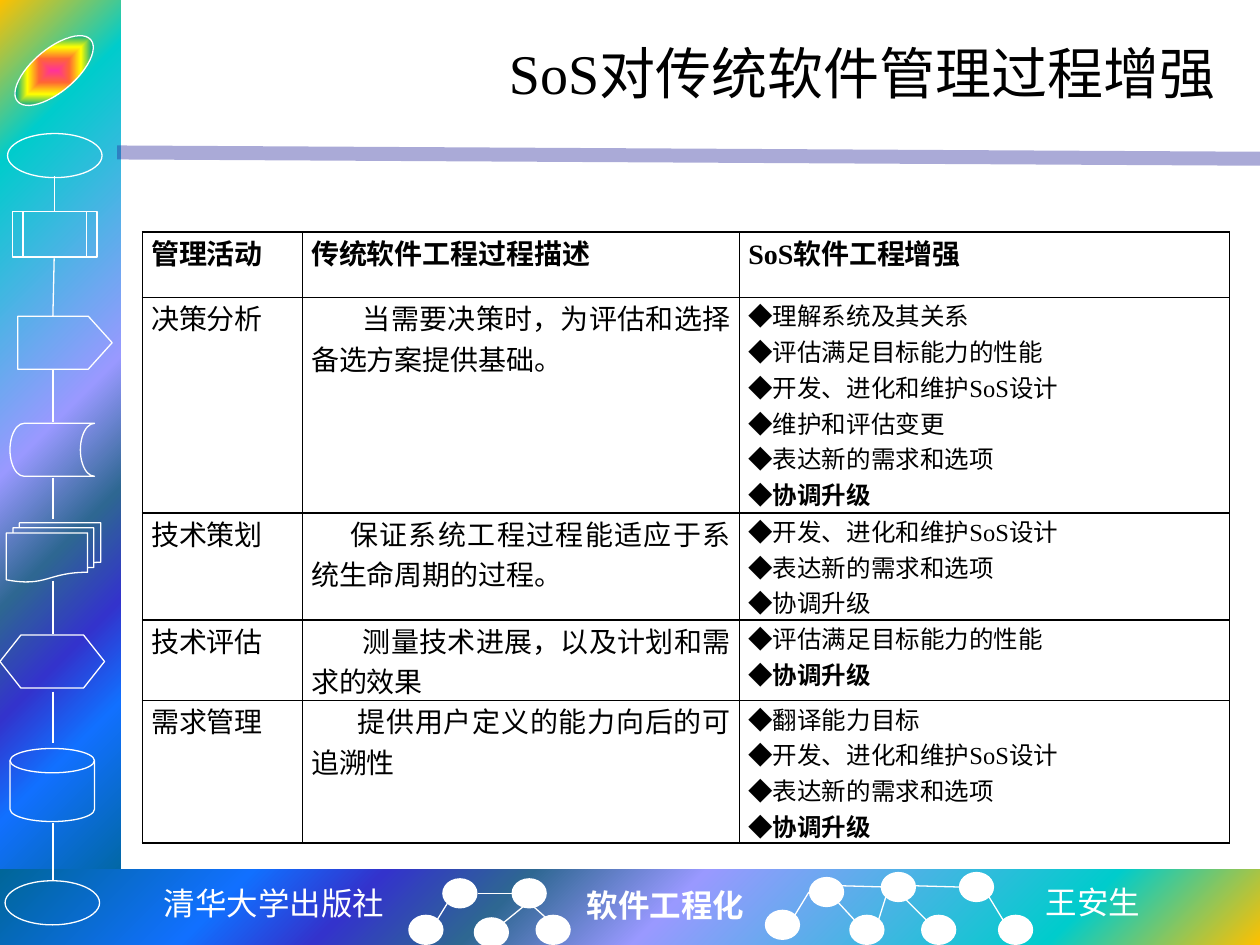
from lxml.etree import SubElement
from pptx import Presentation
from pptx.dml.color import RGBColor
from pptx.enum.shapes import MSO_CONNECTOR, MSO_SHAPE
from pptx.enum.text import MSO_ANCHOR, PP_ALIGN
from pptx.oxml import parse_xml
from pptx.oxml.ns import nsdecls, qn
from pptx.util import Inches, Pt

COLORS = {"white": "FFFFFF", "black": "000000", "rule": "262699"}
BAND_STOPS = [(0, "FFC000"), (16, "00CCCC"), (47, "9999FF"), (60, "2E6792"),
              (71, "3333CC"), (81, "1170FF"), (100, "006699")]
EMBLEM_STOPS = [(0, "FF3399"), (25, "FF6633"), (50, "FFFF00"),
                (75, "01A78F"), (100, "3366FF")]
SERIF = "Times New Roman"

FLOW_SHAPES = [
    (MSO_SHAPE.OVAL, 0.06, 1.06, 0.75, 0.35),
    (MSO_SHAPE.FLOWCHART_PREDEFINED_PROCESS, 0.1, 1.68, 0.67, 0.36),
    (MSO_SHAPE.PENTAGON, 0.14, 2.51, 0.75, 0.42),
    (MSO_SHAPE.FLOWCHART_STORED_DATA, 0.08, 3.36, 0.67, 0.42),
    (MSO_SHAPE.FLOWCHART_MULTIDOCUMENT, 0.05, 4.15, 0.75, 0.47),
    (MSO_SHAPE.FLOWCHART_PREPARATION, 0, 5.04, 0.83, 0.42),
    (MSO_SHAPE.FLOWCHART_MAGNETIC_DISK, 0.08, 5.94, 0.67, 0.58),
    (MSO_SHAPE.OVAL, 0.04, 6.99, 0.75, 0.35),
]
FLOW_LINES = [
    (0.43, 1.4, 0.43, 1.68), (0.43, 2.05, 0.42, 2.51), (0.42, 2.93, 0.42, 3.35),
    (0.42, 3.79, 0.42, 4.12), (0.42, 4.61, 0.42, 5.03), (0.42, 5.49, 0.42, 5.9),
    (0.42, 6.53, 0.42, 6.99),
]
NODES = [
    (3.51, 6.97), (4.06, 6.97), (3.24, 7.26), (3.76, 7.28), (4.25, 7.26),
    (6.42, 6.96), (6.99, 6.92), (7.61, 6.92), (6.07, 7.22), (6.74, 7.26),
    (7.31, 7.26), (7.92, 7.26),
]
NODE_LINES = [
    (3.47, 7.3, 3.55, 7.17), (4, 7.32, 4.16, 7.19), (4.06, 7.09, 3.79, 7.09),
    (4.34, 7.29, 4.24, 7.2), (6.78, 7.3, 6.65, 7.16), (7.35, 7.3, 7.15, 7.1),
    (7.96, 7.3, 7.85, 7.12), (6.97, 7.31, 7.03, 7.12), (7.26, 7.03, 7.61, 7.04),
    (6.31, 7.26, 6.42, 7.08), (6.68, 7.03, 7.03, 7.04),
]

COLUMN_WIDTHS = [1.27, 3.47, 3.89]
ROW_HEIGHTS = [0.52, 1.71, 0.85, 0.64, 1.13]
HEADINGS = ["管理活动", "传统软件工程过程描述", "SoS软件工程增强"]
DESIGN, NEEDS = "开发、进化和维护SoS设计", "表达新的需求和选项"
ABILITY, UPGRADE = "评估满足目标能力的性能", "协调升级"
# activity, first-line indent, description, enhancements, last one bold
ACTIVITIES = [
    ("决策分析", 0.41, "当需要决策时，为评估和选择备选方案提供基础。",
     ["理解系统及其关系", ABILITY, DESIGN, "维护和评估变更", NEEDS, UPGRADE], True),
    ("技术策划", 0.31, "保证系统工程过程能适应于系统生命周期的过程。",
     [DESIGN, NEEDS, UPGRADE], False),
    ("技术评估", 0.41, "测量技术进展，以及计划和需求的效果", [ABILITY, UPGRADE], True),
    ("需求管理", 0.37, "提供用户定义的能力向后的可追溯性",
     ["翻译能力目标", DESIGN, NEEDS, UPGRADE], True),
]


def color(name):
    return RGBColor.from_string(COLORS[name])


def add_shape(page, kind, left, top, width, height, fill=None, outline=True):
    shape = page.shapes.add_shape(kind, Inches(left), Inches(top), Inches(width), Inches(height))
    shape.shadow.inherit = False
    if fill:
        shape.fill.solid()
        shape.fill.fore_color.rgb = color(fill)
    else:
        shape.fill.background()
    if outline:
        shape.line.color.rgb = color("white")
        shape.line.width = Pt(0.75)
    else:
        shape.line.fill.background()
    return shape


def set_path_gradient(shape, stops, kind, focus):
    """Replace the empty fill by a gradient spreading from the focus (l, t, r, b in percent)."""
    stop_xml = "".join(f'<a:gs pos="{position * 1000}"><a:srgbClr val="{value}"/></a:gs>'
                       for position, value in stops)
    sides = " ".join(f'{side}="{share * 1000}"' for side, share in zip("ltrb", focus))
    gradient = parse_xml(
        f'<a:gradFill {nsdecls("a")} rotWithShape="1"><a:gsLst>{stop_xml}</a:gsLst>'
        f'<a:path path="{kind}"><a:fillToRect {sides}/></a:path></a:gradFill>')
    properties = shape._element.spPr
    properties.replace(properties.find(qn("a:noFill")), gradient)


def add_line(page, start_x, start_y, end_x, end_y, name="white", width=0.75, opacity=100):
    line = page.shapes.add_connector(MSO_CONNECTOR.STRAIGHT, Inches(start_x), Inches(start_y),
                                     Inches(end_x), Inches(end_y))
    line.line.color.rgb = color(name)
    line.line.width = Pt(width)
    properties = line._element.spPr
    if opacity < 100:
        tone = next(properties.iter(qn("a:srgbClr")))
        SubElement(tone, qn("a:alpha"), val=str(opacity * 1000))
    SubElement(properties, qn("a:effectLst"))


def write(para, text, size, name="black", font=SERIF, bold=False, align=PP_ALIGN.LEFT):
    para.add_run().text = text
    para.alignment = align
    para.font.size = Pt(size)
    para.font.name = font
    para.font.bold = bold
    para.font.color.rgb = color(name)


def add_text(page, left, top, width, height, text, size, wrap=False, **style):
    box = page.shapes.add_textbox(Inches(left), Inches(top), Inches(width), Inches(height))
    box.text_frame.word_wrap = wrap
    box.text_frame.vertical_anchor = MSO_ANCHOR.MIDDLE if wrap else MSO_ANCHOR.TOP
    write(box.text_frame.paragraphs[0], text, size, **style)


def fill_cell(cell, lines, size=16, bold=False, last_bold=False, indent=0):
    cell.margin_left = cell.margin_right = Inches(0.07)
    cell.margin_top = cell.margin_bottom = 0
    properties = cell._tc.get_or_add_tcPr()
    for side in ("lnL", "lnR", "lnT", "lnB"):
        properties.append(parse_xml(
            f'<a:{side} {nsdecls("a")} w="12700"><a:solidFill>'
            f'<a:srgbClr val="{COLORS["black"]}"/></a:solidFill></a:{side}>'))
    cell.fill.background()
    frame = cell.text_frame
    for number, text in enumerate(lines):
        para = frame.add_paragraph() if number else frame.paragraphs[0]
        if indent:
            para._p.get_or_add_pPr().set("indent", str(Inches(indent)))
        is_last = number == len(lines) - 1
        write(para, text, size, bold=bold or (last_bold and is_last), align=PP_ALIGN.JUSTIFY)


def add_activity_table(page):
    table = page.shapes.add_table(len(ROW_HEIGHTS), len(COLUMN_WIDTHS), Inches(1.13), Inches(1.84),
                                  Inches(sum(COLUMN_WIDTHS)), Inches(sum(ROW_HEIGHTS))).table
    table.first_row = table.horz_banding = False
    for column, width in zip(table.columns, COLUMN_WIDTHS):
        column.width = Inches(width)
    for row, height in zip(table.rows, ROW_HEIGHTS):
        row.height = Inches(height)
    for column, heading in enumerate(HEADINGS):
        fill_cell(table.cell(0, column), [heading], bold=True)
    for row, (activity, indent, description, gains, last_bold) in enumerate(ACTIVITIES, 1):
        fill_cell(table.cell(row, 0), [activity])
        fill_cell(table.cell(row, 1), [description], indent=indent)
        fill_cell(table.cell(row, 2), ["◆" + gain for gain in gains], size=14, last_bold=last_bold)


def add_bands(page):
    side = add_shape(page, MSO_SHAPE.RECTANGLE, 0, 0, 0.96, 7.09, outline=False)
    set_path_gradient(side, BAND_STOPS, "circle", (0, 0, 100, 100))
    footer = add_shape(page, MSO_SHAPE.RECTANGLE, 0, 6.9, 10, 0.6, outline=False)
    set_path_gradient(footer, BAND_STOPS, "circle", (100, 100, 0, 0))
    add_line(page, 0.93, 1.21, 10, 1.26, "rule", 8, 39)


def add_flow_column(page):
    for kind, *place in FLOW_SHAPES:
        shape = add_shape(page, kind, *place)
        if kind == MSO_SHAPE.PENTAGON:
            shape.adjustments[0] = 0.45
    emblem = add_shape(page, MSO_SHAPE.OVAL, 0.05, 0.39, 0.76, 0.34)
    emblem.rotation = -40
    set_path_gradient(emblem, EMBLEM_STOPS, "shape", (50, 50, 50, 50))
    for ends in FLOW_LINES:
        add_line(page, *ends)


def add_footer(page):
    add_text(page, 1.19, 6.97, 1.97, 0.4, "清华大学出版社", 18, name="white",
             font="Noto Sans Mono", align=PP_ALIGN.CENTER)
    add_text(page, 4.56, 6.98, 1.46, 0.4, "软件工程化", 18, name="white", bold=True)
    add_text(page, 8.2, 6.96, 0.96, 0.4, "王安生", 18, name="white", font="Noto Sans CJK SC")
    for left, top in NODES:
        add_shape(page, MSO_SHAPE.OVAL, left, top, 0.28, 0.24, fill="white", outline=False)
    for ends in NODE_LINES:
        add_line(page, *ends)


def main():
    deck = Presentation()
    deck.slide_width, deck.slide_height = Inches(10), Inches(7.5)
    page = deck.slides.add_slide(deck.slide_layouts[6])
    add_bands(page)
    add_flow_column(page)
    add_footer(page)
    add_text(page, 1.25, 0.17, 8.5, 0.81, "SoS对传统软件管理过程增强", 32, wrap=True,
             align=PP_ALIGN.RIGHT)
    add_activity_table(page)
    deck.save("out.pptx")


if __name__ == "__main__":
    main()
